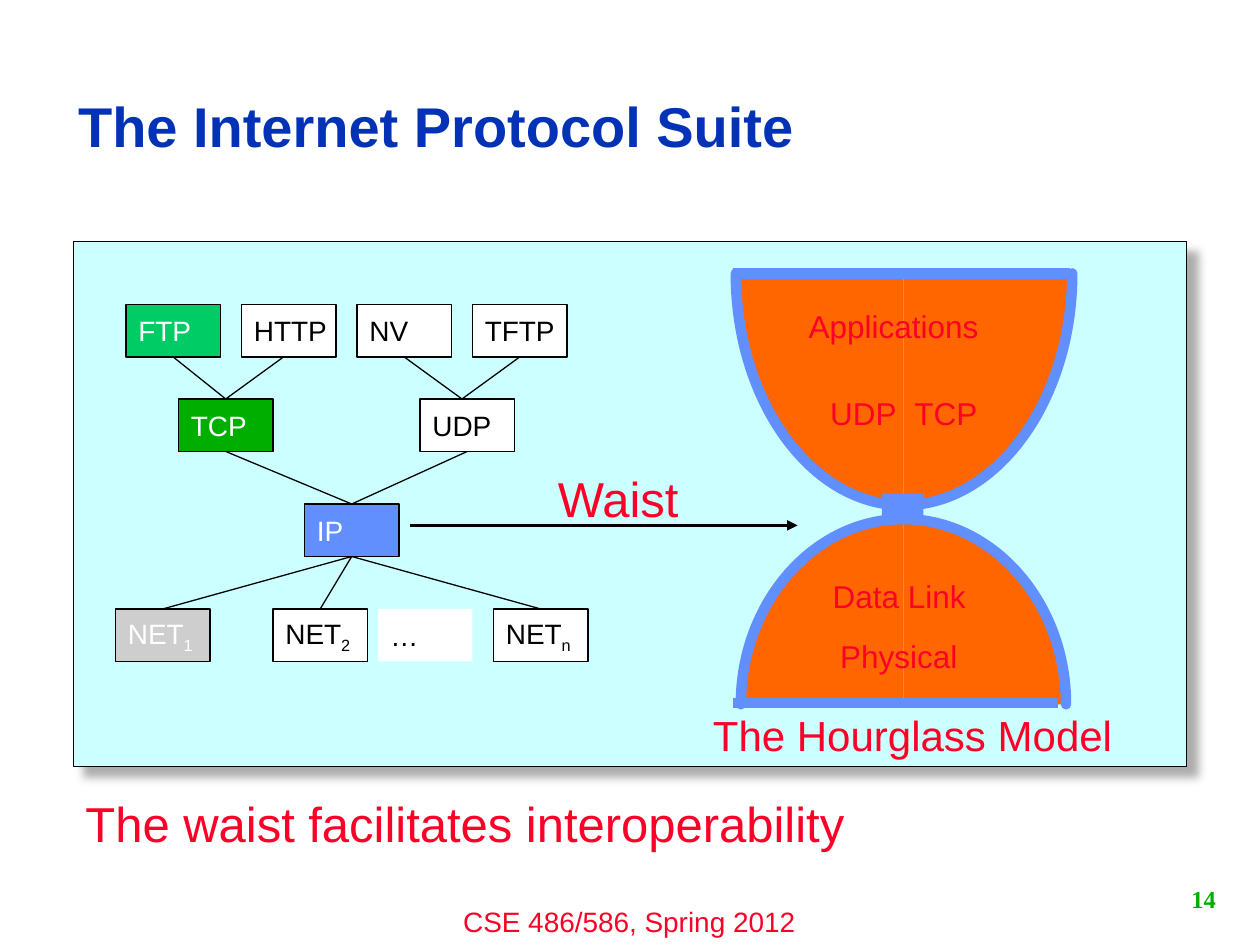
import collections
import copy
import dataclasses

import lxml.etree
import pptx
import pptx.dml.color
import pptx.enum.shapes
import pptx.enum.text
import pptx.oxml
import pptx.oxml.ns
import pptx.util

Inches = pptx.util.Inches
Pt = pptx.util.Pt
qn = pptx.oxml.ns.qn
ALIGN = pptx.enum.text.PP_ALIGN
ANCHOR = pptx.enum.text.MSO_ANCHOR
RECTANGLE = pptx.enum.shapes.MSO_SHAPE.RECTANGLE
STRAIGHT = pptx.enum.shapes.MSO_CONNECTOR.STRAIGHT
TOP, BOTTOM = 0, 2
GRID = 1 / 12
CURVE = 0.55

Box = collections.namedtuple("Box", "left top width height")


@dataclasses.dataclass(frozen=True)
class Theme:
    font: str = "Arial"
    number_font: str = "Times New Roman"
    title: str = "0332B7"
    red: str = "FC0128"
    black: str = "000000"
    white: str = "FFFFFF"
    panel: str = "CCFFFF"
    shadow: str = "919191"
    blue: str = "618FFD"
    orange: str = "FF6600"
    mint: str = "00CC66"
    green: str = "00AE00"
    grey: str = "CECECE"
    title_size: int = 32
    message_size: int = 28
    caption_size: int = 24
    layer_size: int = 18
    node_size: int = 16
    number_size: int = 14
    thin: float = 0.75
    arrow: float = 2
    thick: float = 6


THEME = Theme()


def rgb(value):
    return pptx.dml.color.RGBColor.from_string(value)


def emu(lengths):
    return [Inches(length) for length in lengths]


def grid_box(*cells):
    return Box(*[cell * GRID for cell in cells])


def format_runs(paragraph, size, color, font=THEME.font, bold=False):
    for run in paragraph.runs:
        run.font.name = font
        run.font.size = Pt(size)
        run.font.bold = bold
        run.font.color.rgb = rgb(color)


def add_text(slide, box, text, size, color=THEME.red, align=ALIGN.LEFT, wrap=False, **style):
    text_frame = slide.shapes.add_textbox(*emu(box)).text_frame
    text_frame.word_wrap = wrap
    text_frame.text = text
    paragraph = text_frame.paragraphs[0]
    paragraph.alignment = align
    format_runs(paragraph, size, color, **style)
    return text_frame


def add_rectangle(slide, box, fill, line=None):
    shape = slide.shapes.add_shape(RECTANGLE, *emu(box))
    shape.shadow.inherit = False
    shape.fill.solid()
    shape.fill.fore_color.rgb = rgb(fill)
    if line:
        shape.line.color.rgb = rgb(line)
        shape.line.width = Pt(THEME.thin)
    else:
        shape.line.fill.background()
    return shape


def add_line(slide, start=(0, 0), end=(0, 0), color=THEME.black, width=THEME.thin):
    connector = slide.shapes.add_connector(STRAIGHT, *emu(start + end))
    connector.line.color.rgb = rgb(color)
    connector.line.width = Pt(width)
    lxml.etree.SubElement(connector._element.spPr, qn("a:effectLst"))
    return connector


def add_title(slide, box):
    title = slide.shapes.title
    title.left, title.top, title.width, title.height = emu(box)
    text_frame = title.text_frame
    text_frame.text = "The Internet Protocol Suite"
    text_frame.auto_size = pptx.enum.text.MSO_AUTO_SIZE.NONE
    text_frame.vertical_anchor = ANCHOR.BOTTOM
    paragraph = text_frame.paragraphs[0]
    paragraph.alignment = ALIGN.LEFT
    paragraph.line_spacing = 0.9
    format_runs(paragraph, THEME.title_size, THEME.title, bold=True)


def add_panel(slide, box):
    panel = add_rectangle(slide, box, THEME.panel, THEME.black)
    effects = panel._element.spPr.find(qn("a:effectLst"))
    effects.append(pptx.oxml.parse_xml(
        f'<a:outerShdw {pptx.oxml.ns.nsdecls("a")} blurRad="{Pt(5)}" dist="{Pt(8.5)}" '
        f'dir="2700000" algn="tl" rotWithShape="0"><a:srgbClr val="{THEME.shadow}">'
        '<a:alpha val="75000"/></a:srgbClr></a:outerShdw>'))


def add_node(slide, box, label, subscript="", fill=THEME.white, color=THEME.black, line=THEME.black):
    node = add_rectangle(slide, box, fill, line)
    text_frame = node.text_frame
    text_frame.word_wrap = False
    text_frame.vertical_anchor = ANCHOR.MIDDLE
    text_frame.text = label
    paragraph = text_frame.paragraphs[0]
    paragraph.alignment = ALIGN.LEFT
    if subscript:
        run = paragraph.add_run()
        run.text = subscript
        run._r.get_or_add_rPr().set("baseline", "-25000")
    format_runs(paragraph, THEME.node_size, color)
    return node


def add_protocol_graph(slide, box):
    applications, transports, network, links = 0, 9, 19, 29

    def position(column, row):
        return box.left + column * GRID, box.top + row * GRID

    def place(column, row, label, **style):
        return add_node(slide, Box(*position(column, row), 9 * GRID, 5 * GRID), label, **style)

    ftp = place(1, applications, "FTP", fill=THEME.mint, color=THEME.white)
    _, nv, tftp = [place(column, applications, label)
                   for column, label in [(12, "HTTP"), (23, "NV"), (34, "TFTP")]]
    tcp = place(6, transports, "TCP", fill=THEME.green, color=THEME.white)
    udp = place(29, transports, "UDP")
    ip = place(18, network, "IP", fill=THEME.blue, color=THEME.white)
    first = place(0, links, "NET", subscript="1", fill=THEME.grey, color=THEME.white)
    second = place(15, links, "NET", subscript="2")
    last = place(36, links, "NET", subscript="n")
    place(25, links, "…", line=None)

    for upper, lower in [(ftp, tcp), (tcp, ip), (udp, ip),
                         (ip, first), (ip, second), (ip, last)]:
        connector = add_line(slide)
        connector.begin_connect(upper, BOTTOM)
        connector.end_connect(lower, TOP)
    for upper in (nv, tftp):
        connector = add_line(slide, end=position(33, transports))
        connector.begin_connect(upper, BOTTOM)
    connector = add_line(slide, start=position(16, 5))
    connector.end_connect(tcp, TOP)


def add_quarter(slide, center, radius_x, radius_y):
    x, y = center
    builder = slide.shapes.build_freeform(*emu((x + radius_x, y)))
    builder.add_line_segments([emu((x, y + radius_y)), emu(center)], close=True)
    quarter = builder.convert_to_shape()
    quarter.shadow.inherit = False
    quarter.fill.solid()
    quarter.fill.fore_color.rgb = rgb(THEME.orange)
    quarter.line.color.rgb = rgb(THEME.blue)
    quarter.line.width = Pt(THEME.thick)
    quarter.line._ln.set("cap", "rnd")

    wedge = quarter._element.spPr.find(".//" + qn("a:path"))
    start, end, corner = [(int(point.get("x")), int(point.get("y")))
                          for point in wedge.iter(qn("a:pt"))][:3]
    first_control = [round(s + CURVE * (e - c)) for s, e, c in zip(start, end, corner)]
    second_control = [round(e + CURVE * (s - c)) for s, e, c in zip(start, end, corner)]
    curve = lxml.etree.Element(qn("a:cubicBezTo"))
    for point_x, point_y in (first_control, second_control, end):
        lxml.etree.SubElement(curve, qn("a:pt"), x=str(point_x), y=str(point_y))
    wedge.replace(wedge[1], curve)
    rim = copy.deepcopy(wedge)
    for segment in rim[2:]:
        rim.remove(segment)
    rim.set("fill", "none")
    wedge.set("stroke", "0")
    wedge.addprevious(rim)


def add_hourglass(slide, box):
    left, top = box.left, box.top
    middle, bottom = left + 1.35, top + box.height
    for radius_x, radius_y, base in [(1.29, -1.47, bottom), (-1.29, -1.47, bottom),
                                     (1.34, 1.84, top), (-1.33, 1.84, top)]:
        add_quarter(slide, (middle, base), radius_x, radius_y)
    for y, length in [(top, box.width), (bottom - 0.01, 2.58)]:
        add_line(slide, (left, y), (left + length, y), THEME.blue, THEME.thick)
    add_rectangle(slide, Box(left + 1.18, top + 1.75, 0.33, 0.24), THEME.blue)
    for x, y, width, label in [(0.67, 0.91, 0.73, "UDP"), (1.34, 0.91, 0.7, "TCP"),
                               (0.69, 2.36, 1.32, "Data Link"), (0.75, 2.84, 1.21, "Physical"),
                               (0.69, 0.22, 1.32, "Applications")][:4]:
        add_text(slide, Box(left + x, top + y, width, 0.4), label, THEME.layer_size)
    add_text(slide, Box(left + 0.5, top + 0.22, 1.7, 0.4), "Applications", THEME.layer_size)
    add_text(slide, Box(left - 0.26, bottom - 0.01, 3.57, 0.5),
             "The Hourglass Model", THEME.caption_size)


def add_waist_arrow(slide, box):
    y = box.top + 0.5
    arrow = add_line(slide, (box.left, y), (box.left + box.width, y), width=THEME.arrow)
    lxml.etree.SubElement(arrow.line._ln, qn("a:tailEnd"), type="triangle")
    add_text(slide, Box(box.left + 1.08, box.top, 1.75, box.height), "Waist",
             THEME.message_size, wrap=True)


def add_footer(slide, box):
    add_text(slide, Box(box.left + 3.33, box.top + 0.21, 3.33, 0.37),
             "CSE 486/586, Spring 2012", THEME.node_size, align=ALIGN.CENTER, wrap=True)
    number = add_text(slide, Box(box.left + 8.75, box.top, 1, 0.42), "14", THEME.number_size,
                      THEME.green, ALIGN.RIGHT, font=THEME.number_font, bold=True)
    number.vertical_anchor = ANCHOR.MIDDLE


def main():
    presentation = pptx.Presentation()
    presentation.slide_width, presentation.slide_height = Inches(10), Inches(7.5)
    slide = presentation.slides.add_slide(presentation.slide_layouts[5])
    add_footer(slide, Box(0, 6.92, 10, 0.58))
    add_panel(slide, grid_box(7, 23, 106, 50))
    add_title(slide, Box(0.52, 0.07, 8.15, 1.25))
    add_waist_arrow(slide, Box(3.25, 3.67, 3.08, 0.57))
    add_hourglass(slide, Box(5.82, 2.17, 2.67, 3.42))
    add_text(slide, Box(0.58, 6.25, 6.58, 0.57), "The waist facilitates interoperability",
             THEME.message_size, wrap=True)
    add_protocol_graph(slide, grid_box(11, 29, 45, 34))
    presentation.save("out.pptx")


if __name__ == "__main__":
    main()
